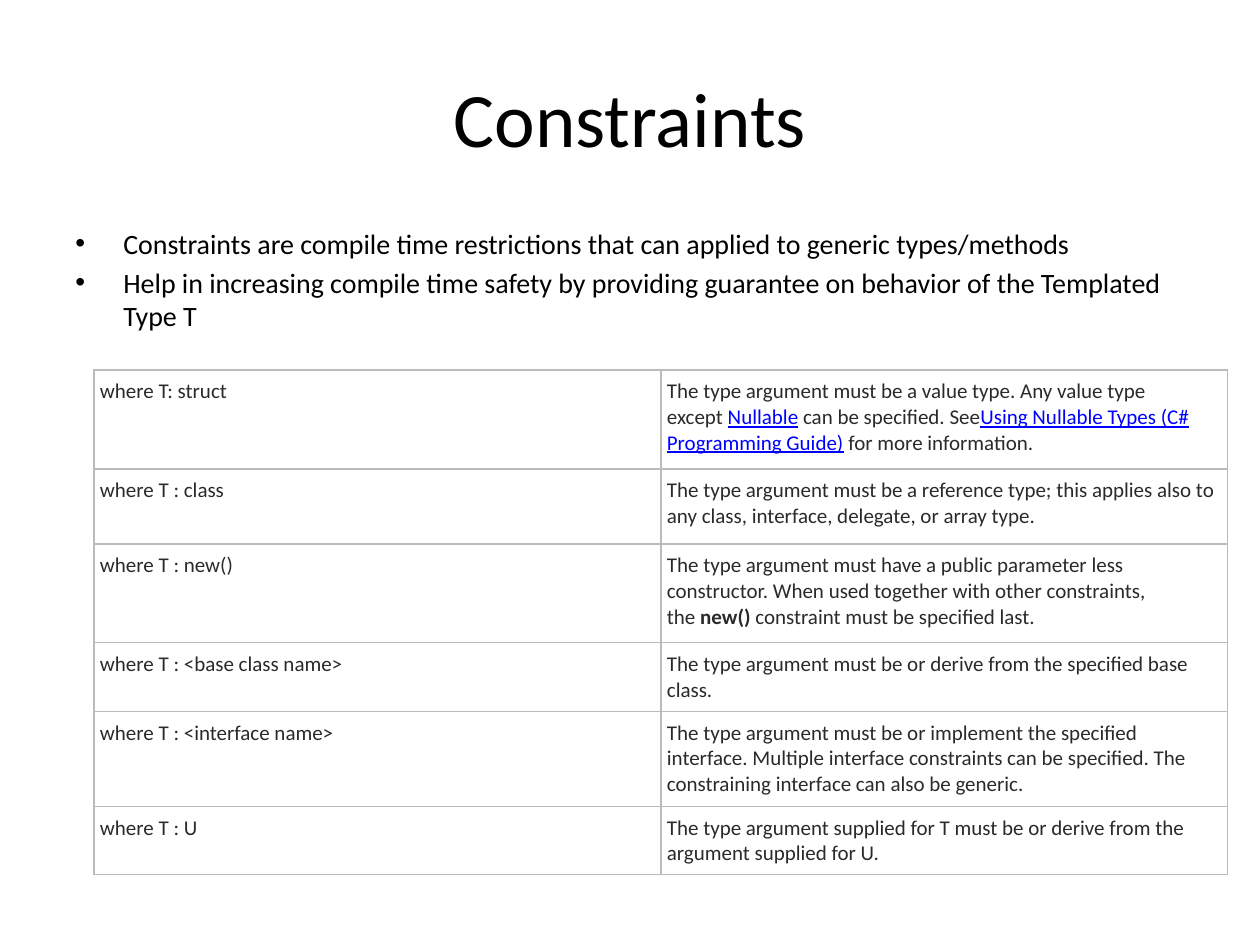
from lxml.etree import SubElement
from pptx import Presentation
from pptx.dml.color import RGBColor
from pptx.enum.text import MSO_ANCHOR, PP_ALIGN
from pptx.oxml.ns import qn
from pptx.util import Pt

PIXEL = 914400 // 126
FONT = "Calibri"
COLORS = {"black": "000000", "body": "2A2A2A", "link": "0000FF", "border": "BBBBBB"}
BULLETS = [
    "Constraints are compile time restrictions that can applied to generic types/methods",
    "Help in increasing compile time safety by providing guarantee on behavior of the Templated Type T",
]
ROWS = [
    (99, "where T: struct", [
        ("The type argument must be a value type. Any value type except\u00a0", "plain"),
        ("Nullable", "link"),
        ("\u00a0can be specified. See", "plain"),
        ("Using Nullable Types (C# Programming Guide)", "link"),
        ("\u00a0for more information.", "plain")]),
    (75, "where T : class", [
        ("The type argument must be a reference type; this applies also to any class, "
         "interface, delegate, or array type.", "plain")]),
    (99, "where T : new()", [
        ("The type argument must have a public parameter less constructor. "
         "When used together with other constraints, the\u00a0", "plain"),
        ("new()", "bold"),
        ("\u00a0constraint must be specified last.", "plain")]),
    (67, "where T : <base class name>", [
        ("The type argument must be or derive from the specified base class.", "plain")]),
    (95, "where T : <interface name>", [
        ("The type argument must be or implement the specified interface. Multiple interface "
         "constraints can be specified. The constraining interface can also be generic.", "plain")]),
    (68, "where T : U", [
        ("The type argument supplied for T must be or derive from the argument supplied for U.",
         "plain")]),
]


def pixels(*lengths):
    return [length * PIXEL for length in lengths]


def add_run(paragraph, text, size, color, style="plain"):
    run = paragraph.add_run()
    run.text = text
    run.font.name = FONT
    run.font.size = Pt(size)
    run.font.color.rgb = RGBColor.from_string(COLORS[color])
    run.font.bold = style == "bold"
    run.font.underline = style == "link"


def add_text_frame(slide, box):
    frame = slide.shapes.add_textbox(*pixels(*box)).text_frame
    frame.word_wrap = True
    return frame


def add_title(slide, box, text):
    frame = add_text_frame(slide, box)
    frame.vertical_anchor = MSO_ANCHOR.MIDDLE
    paragraph = frame.paragraphs[0]
    paragraph.alignment = PP_ALIGN.CENTER
    add_run(paragraph, text, 44, "black")


def add_bullets(slide, box, texts):
    frame = add_text_frame(slide, box)
    indent = 48 * PIXEL
    for index, text in enumerate(texts):
        paragraph = frame.add_paragraph() if index else frame.paragraphs[0]
        paragraph.space_before = Pt(3.2)
        properties = paragraph._p.get_or_add_pPr()
        properties.set("marL", str(indent))
        properties.set("indent", str(-indent))
        SubElement(properties, qn("a:buFont"), typeface="Arial")
        SubElement(properties, qn("a:buChar"), char="\u2022")
        add_run(paragraph, text, 16, "black")


def add_borders(cell):
    properties = cell._tc.get_or_add_tcPr()
    for position, side in enumerate(("lnL", "lnR", "lnT", "lnB")):
        line = properties.makeelement(qn(f"a:{side}"), {"w": str(Pt(0.75))})
        fill = SubElement(line, qn("a:solidFill"))
        SubElement(fill, qn("a:srgbClr"), val=COLORS["border"])
        properties.insert(position, line)


def fill_cell(cell, runs):
    cell.fill.background()
    cell.margin_left, cell.margin_right = pixels(6, 6)
    cell.margin_top, cell.margin_bottom = pixels(9, 9)
    add_borders(cell)
    for text, style in runs:
        color = "link" if style == "link" else "body"
        add_run(cell.text_frame.paragraphs[0], text, 12, color, style)


def add_constraint_table(slide, box, rows):
    table = slide.shapes.add_table(len(rows), 2, *pixels(*box)).table
    table.first_row = False
    table.horz_banding = False
    for row, (height, clause, description) in zip(table.rows, rows):
        row.height = height * PIXEL
        fill_cell(row.cells[0], [(clause, "plain")])
        fill_cell(row.cells[1], description)


def build_slide(presentation):
    slide = presentation.slides.add_slide(presentation.slide_layouts[6])
    add_title(slide, (63, 38, 1134, 157), "Constraints")
    add_bullets(slide, (63, 220, 1134, 624), BULLETS)
    table_height = sum(row[0] for row in ROWS)
    add_constraint_table(slide, (94, 370, 1134, table_height), ROWS)


presentation = Presentation()
presentation.slide_width, presentation.slide_height = pixels(1260, 945)
build_slide(presentation)
presentation.save("out.pptx")
